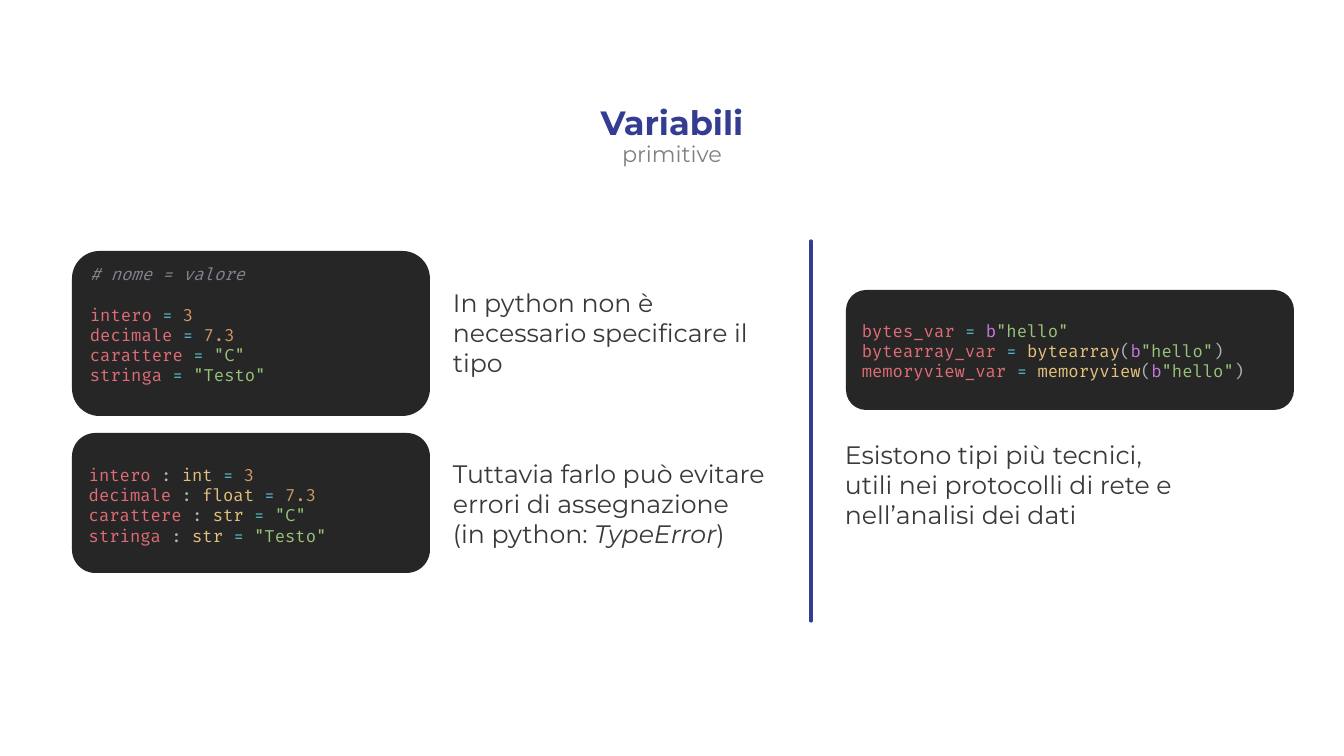
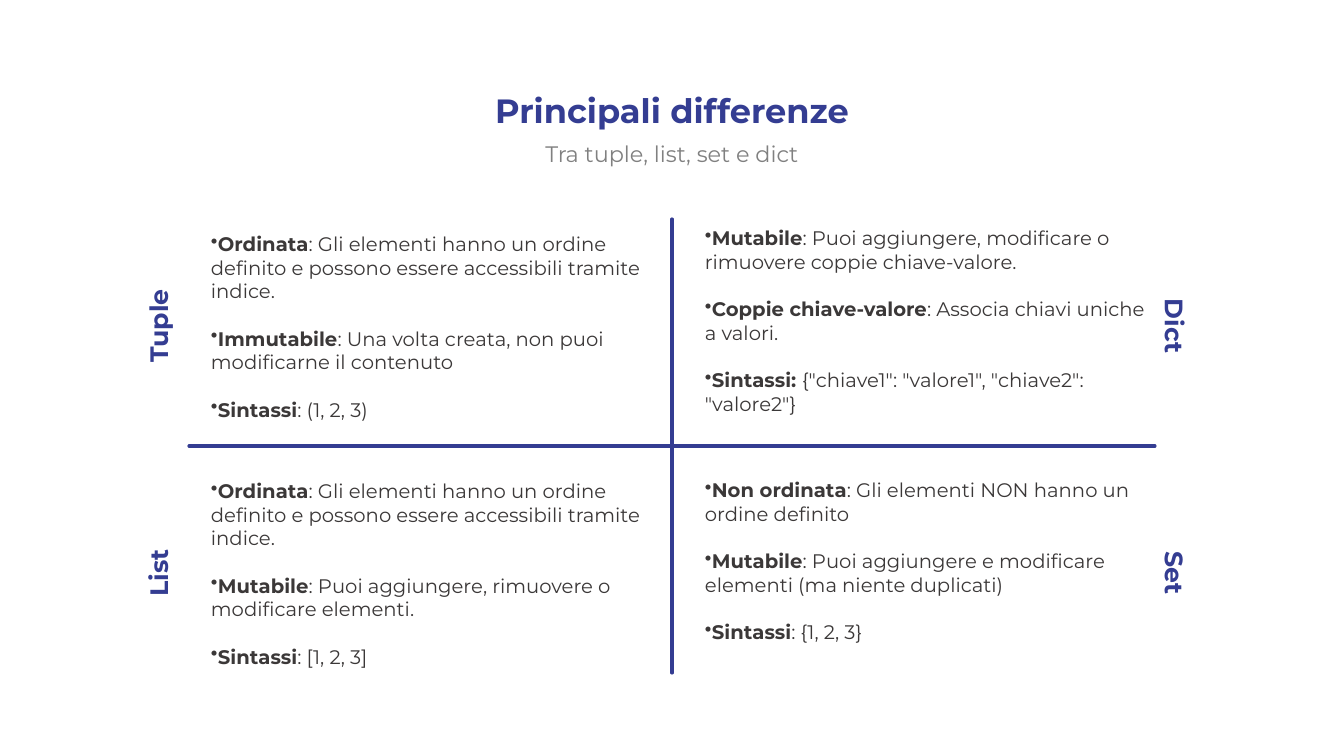
import pptx
import pptx.util
import pptx.dml.color
import pptx.enum.shapes
import pptx.enum.text
import pptx.oxml
import pptx.oxml.ns

RGBColor = pptx.dml.color.RGBColor
Anchor = pptx.enum.text.MSO_ANCHOR
Align = pptx.enum.text.PP_ALIGN

# Shared look
BLUE = RGBColor(0x34, 0x3D, 0x92)
GRAY = RGBColor(0x80, 0x80, 0x80)
TEXT = RGBColor(0x3B, 0x38, 0x38)
CODE_FILL = RGBColor(0x26, 0x26, 0x26)
COMMENT = RGBColor(0x7F, 0x84, 0x8E)
PLAIN = RGBColor(0xAB, 0xB2, 0xBF)
NAME = RGBColor(0xE0, 0x6C, 0x75)
OPERATOR = RGBColor(0x56, 0xB6, 0xC2)
NUMBER = RGBColor(0xD1, 0x9A, 0x66)
STRING = RGBColor(0x98, 0xC3, 0x79)
TYPE = RGBColor(0xE5, 0xC0, 0x7B)
PREFIX = RGBColor(0xC6, 0x78, 0xDD)
BODY_FONT = "Montserrat"
CODE_FONT = "Fira Code"
CODE_GAP = 14.5   # points, one line of code
BULLET_GAP = 17   # points, one line of bullet text

# Lengths are px on a 1344 x 756 px slide
WIDTH, HEIGHT = 1344, 756
SCALE = 12192000 / WIDTH

# Slide 1: variables, as (name, type, value, value colour)
VARIABLES = [
    ("intero", "int", "3", NUMBER),
    ("decimale", "float", "7.3", NUMBER),
    ("carattere", "str", '"C"', STRING),
    ("stringa", "str", '"Testo"', STRING),
]
EQUALS = ("= ", OPERATOR)
BYTES = [("b", PREFIX), ('"hello"', STRING)]
UNTYPED_CODE = [[("# nome = valore", COMMENT)]] + [
    [(name + " ", NAME), EQUALS, (value, color)]
    for name, kind, value, color in VARIABLES
]
TYPED_CODE = [
    [(name, NAME), (" : ", PLAIN), (kind + " ", TYPE), EQUALS, (value, color)]
    for name, kind, value, color in VARIABLES
]
BYTES_CODE = [[("bytes_var ", NAME), EQUALS] + BYTES] + [
    [(kind + "_var ", NAME), EQUALS, (kind, TYPE), ("(", PLAIN)] + BYTES + [(")", PLAIN)]
    for kind in ("bytearray", "memoryview")
]
# box, top inset, lines, index of the line that follows a gap
CODE_BOXES = [
    ((72, 251, 358, 165), 5, UNTYPED_CODE, 1),
    ((72, 433, 358, 140), 25, TYPED_CODE, None),
    ((846, 290, 448, 120), 25, BYTES_CODE, None),
]
# left, top, paragraphs of (text, italic)
REMARKS = [
    (443, 282, [[("In python non è necessario specificare il tipo", False)]]),
    (443, 453, [
        [("Tuttavia farlo può evitare", False)],
        [("errori di assegnazione", False)],
        [("(in python: ", False), ("TypeError", True), (")", False)],
    ]),
    (835, 434, [[("Esistono tipi più tecnici, utili nei protocolli di rete e "
                  "nell’analisi dei dati", False)]]),
]

# Slide 2: label, label width, label centre, rotation, text box, bullets
ORDERED = ("Ordinata", ": Gli elementi hanno un ordine definito e possono essere "
                       "accessibili tramite indice.")
LEFT_LABEL, RIGHT_LABEL = 158, 1175
TOP_ROW, BOTTOM_ROW = 326, 573
QUADRANTS = [
    ("Tuple", 98, (LEFT_LABEL, TOP_ROW), 270, (201, 226, 450, 201), [
        ORDERED,
        ("Immutabile", ": Una volta creata, non puoi modificarne il contenuto"),
        ("Sintassi", ": (1, 2, 3)"),
    ]),
    ("List", 71, (LEFT_LABEL, BOTTOM_ROW), 270, (201, 473, 450, 201), [
        ORDERED,
        ("Mutabile", ": Puoi aggiungere, rimuovere o modificare elementi."),
        ("Sintassi", ": [1, 2, 3]"),
    ]),
    ("Dict", 81, (RIGHT_LABEL, TOP_ROW), 90, (695, 220, 461, 201), [
        ("Mutabile", ": Puoi aggiungere, modificare o rimuovere coppie chiave-valore."),
        ("Coppie chiave-valore", ": Associa chiavi uniche a valori."),
        ("Sintassi: ", '{"chiave1": "valore1", "chiave2": "valore2"}'),
    ]),
    ("Set", 66, (RIGHT_LABEL, BOTTOM_ROW), 90, (695, 473, 450, 176), [
        ("Non ordinata", ": Gli elementi NON hanno un ordine definito"),
        ("Mutabile", ": Puoi aggiungere e modificare elementi (ma niente duplicati)"),
        ("Sintassi", ": {1, 2, 3}"),
    ]),
]


def px(length):
    return pptx.util.Emu(round(length * SCALE))


def add_run(paragraph, text, size, color, font=BODY_FONT, bold=False, italic=False):
    run = paragraph.add_run()
    run.text = text
    run.font.name = font
    run.font.size = pptx.util.Pt(size)
    run.font.color.rgb = color
    run.font.bold = bold
    run.font.italic = italic


def next_paragraph(frame, index):
    return frame.add_paragraph() if index else frame.paragraphs[0]


def add_text_box(slide, box, wrap=True):
    text_box = slide.shapes.add_textbox(*map(px, box))
    text_box.text_frame.word_wrap = wrap
    return text_box


def add_centered(slide, box, text, size, color, bold=False, wrap=True):
    text_box = add_text_box(slide, box, wrap)
    paragraph = text_box.text_frame.paragraphs[0]
    paragraph.alignment = Align.CENTER
    add_run(paragraph, text, size, color, bold=bold)
    return text_box


def add_rule(slide, *ends):
    connector = slide.shapes.add_connector(
        pptx.enum.shapes.MSO_CONNECTOR.STRAIGHT, *map(px, ends))
    connector.line.color.rgb = BLUE
    connector.line.width = pptx.util.Pt(2.25)
    properties = connector._element.spPr
    properties.find(pptx.oxml.ns.qn("a:ln")).set("cap", "rnd")
    properties.append(pptx.oxml.parse_xml(
        "<a:effectLst %s/>" % pptx.oxml.ns.nsdecls("a")))


def add_titled_slide(presentation, title, title_top, title_width, subtitle, subtitle_width):
    slide = presentation.slides.add_slide(presentation.slide_layouts[5])
    shape = slide.shapes.title
    shape.left, shape.top = px((WIDTH - title_width) / 2), px(title_top)
    shape.width, shape.height = px(title_width), px(50)
    frame = shape.text_frame
    frame.auto_size = pptx.enum.text.MSO_AUTO_SIZE.NONE
    frame.vertical_anchor = Anchor.TOP
    frame.word_wrap = True
    frame.paragraphs[0].alignment = Align.CENTER
    add_run(frame.paragraphs[0], title, 24, BLUE, bold=True)
    subtitle_box = ((WIDTH - subtitle_width) / 2, 135, subtitle_width, 37)
    add_centered(slide, subtitle_box, subtitle, 16, GRAY, wrap=False)
    return slide


def add_code_box(slide, box, top_inset, lines, gap_before):
    shape = slide.shapes.add_shape(
        pptx.enum.shapes.MSO_SHAPE.ROUNDED_RECTANGLE, *map(px, box))
    shape.shadow.inherit = False
    shape.fill.solid()
    shape.fill.fore_color.rgb = CODE_FILL
    shape.line.fill.background()
    frame = shape.text_frame
    frame.word_wrap = True
    frame.vertical_anchor = Anchor.TOP
    frame.margin_top = px(top_inset)
    for index, line in enumerate(lines):
        paragraph = next_paragraph(frame, index)
        paragraph.alignment = Align.LEFT
        if index == gap_before:
            paragraph.space_before = pptx.util.Pt(CODE_GAP)
        for text, color in line:
            add_run(paragraph, text, 12, color, CODE_FONT, italic=color == COMMENT)


def add_bullets(slide, box, bullets):
    frame = add_text_box(slide, box).text_frame
    frame.vertical_anchor = Anchor.MIDDLE
    for index, (term, meaning) in enumerate(bullets):
        paragraph = next_paragraph(frame, index)
        if index:
            paragraph.space_before = pptx.util.Pt(BULLET_GAP)
        paragraph._p.get_or_add_pPr().append(pptx.oxml.parse_xml(
            '<a:buChar %s char="•"/>' % pptx.oxml.ns.nsdecls("a")))
        add_run(paragraph, term, 14, TEXT, bold=True)
        add_run(paragraph, meaning, 14, TEXT)


def build_variables(presentation):
    slide = add_titled_slide(presentation, "Variabili", 97, 177, "primitive", 124)
    for code_box in CODE_BOXES:
        add_code_box(slide, *code_box)
    for left, top, paragraphs in REMARKS:
        frame = add_text_box(slide, (left, top, 360, 102)).text_frame
        for index, runs in enumerate(paragraphs):
            paragraph = next_paragraph(frame, index)
            for text, italic in runs:
                add_run(paragraph, text, 18, TEXT, italic=italic)
    add_rule(slide, 811, 241, 811, 621)


def build_differences(presentation):
    slide = add_titled_slide(presentation, "Principali differenze", 85, 426,
                             "Tra tuple, list, set e dict", 282)
    # Cross between the four quadrants
    add_rule(slide, 672, 219, 672, 673)
    add_rule(slide, 189, 446, 1155, 446)
    for label, width, (center_x, center_y), rotation, box, bullets in QUADRANTS:
        label_box = (center_x - width / 2, center_y - 20, width, 40)
        add_centered(slide, label_box, label, 18, BLUE, bold=True).rotation = rotation
        add_bullets(slide, box, bullets)


def main():
    presentation = pptx.Presentation()
    presentation.slide_width, presentation.slide_height = px(WIDTH), px(HEIGHT)
    build_variables(presentation)
    build_differences(presentation)
    presentation.save("out.pptx")


if __name__ == "__main__":
    main()
